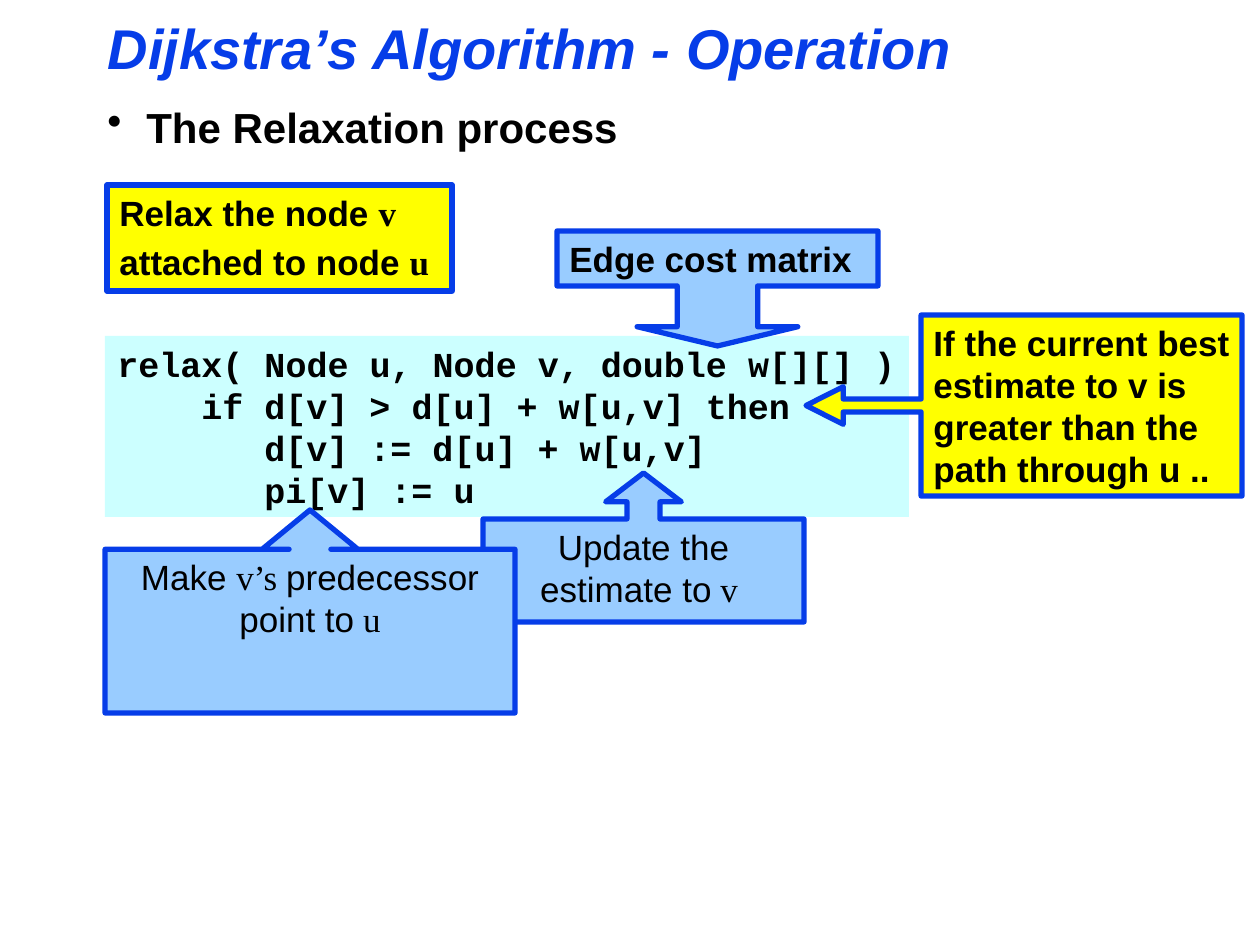
from dataclasses import dataclass

from lxml import etree
from pptx import Presentation
from pptx import util as u
from pptx.dml.color import RGBColor
from pptx.enum import shapes, text
from pptx.oxml import ns

BLUE = RGBColor(0x06, 0x3D, 0xE8)
BLACK = RGBColor(0, 0, 0)
YELLOW = RGBColor(0xFF, 0xFF, 0)
CYAN = RGBColor(0xCC, 0xFF, 0xFF)
SKY = RGBColor(0x99, 0xCC, 0xFF)
SANS, SERIF, MONO = "Arial", "Times New Roman", "Courier New"
PX_PER_INCH = 126
CODE_CHAR = 21


def px(length):
    return u.Emu(round(length * 914400 / PX_PER_INCH))


@dataclass
class RelaxationSlide:
    """Holds the text style and the current page, and adds elements to it."""

    page: object
    size: int = 20
    line_width: int = 3

    def fill_text(self, frame, lines, wrap=True, align=text.PP_ALIGN.LEFT, gap=0, **style):
        settings = {"word_wrap": wrap, "auto_size": text.MSO_AUTO_SIZE.NONE}
        for name, value in settings.items():
            setattr(frame, name, value)
        for index, spans in enumerate(lines):
            para = frame.add_paragraph() if index else frame.paragraphs[0]
            layout = {"alignment": align, "space_before": u.Pt(gap if index else 0)}
            for name, value in layout.items():
                setattr(para, name, value)
            for words, font in spans:
                self.span(para, words, font, **style)

    def span(self, para, words, font, size=None, color=BLACK, bold=True, italic=False):
        span = para.add_run()
        span.text = words
        values = {"name": font, "size": u.Pt(size or self.size), "bold": bold, "italic": italic}
        for name, value in values.items():
            setattr(span.font, name, value)
        span.font.color.rgb = color

    def indent(self, para, left, first=0):
        properties = para._p.get_or_add_pPr()
        for name, value in {"marL": left, "indent": first}.items():
            properties.set(name, str(px(value)))
        return properties

    def title(self, words, place):
        box = self.page.shapes.title
        for name, value in zip(("left", "top", "width", "height"), place):
            setattr(box, name, px(value))
        box.text_frame.vertical_anchor = text.MSO_ANCHOR.MIDDLE
        self.fill_text(box.text_frame, [[(words, SANS)]], size=32, color=BLUE, italic=True)

    def bullet(self, words, place):
        box = self.page.shapes.add_textbox(*map(px, place))
        self.fill_text(box.text_frame, [[(words, SANS)]], size=24)
        para = box.text_frame.paragraphs[0]
        para.space_before = u.Pt(6)
        properties = self.indent(para, 39, -39)
        color = etree.SubElement(properties, ns.qn("a:buClr"))
        etree.SubElement(color, ns.qn("a:srgbClr"), val=str(BLACK))
        etree.SubElement(properties, ns.qn("a:buChar"), char="•")

    def panel(self, kind, place, fill, lines, line=BLUE, adjust=(), **style):
        box = self.page.shapes.add_shape(kind, *map(px, place))
        box.shadow.inherit = False
        box.fill.solid()
        box.fill.fore_color.rgb = fill
        if line is None:
            box.line.fill.background()
        else:
            box.line.color.rgb = line
            box.line.width = u.Pt(self.line_width)
        for index, value in enumerate(adjust):
            box.adjustments[index] = value
        box.text_frame.vertical_anchor = text.MSO_ANCHOR.TOP
        self.fill_text(box.text_frame, lines, **style)
        return box

    def code(self, place, fill, lines):
        rows = [[(words, MONO)] for _, words in lines]
        box = self.panel(shapes.MSO_SHAPE.RECTANGLE, place, fill, rows, line=None, wrap=False)
        for para, (columns, _) in zip(box.text_frame.paragraphs, lines):
            self.indent(para, columns * CODE_CHAR)


def main():
    deck = Presentation()
    deck.slide_width, deck.slide_height = px(1260), px(945)
    slide = RelaxationSlide(deck.slides.add_slide(deck.slide_layouts[5]))
    kinds = shapes.MSO_SHAPE

    slide.title("Dijkstra’s Algorithm - Operation", (95, 0, 1071, 95))
    slide.bullet("The Relaxation process", (95, 95, 1081, 756))
    slide.panel(
        kinds.RECTANGLE, (107, 185, 345, 106), YELLOW,
        [[("Relax the node ", SANS), ("v", SERIF)],
         [("attached to node ", SANS), ("u", SERIF)]],
        gap=4,
    )
    slide.code((105, 336, 804, 181), CYAN, [
        (0, "relax( Node u, Node v, double w[][] )"),
        (4, "if d[v] > d[u] + w[u,v] then"),
        (7, "d[v] := d[u] + w[u,v]"),
        (7, "pi[v] := u"),
    ])
    condition = ("If the current best", "estimate to v is", "greater than the", "path through u ..")
    slide.panel(
        kinds.LEFT_ARROW_CALLOUT, (806, 315, 436, 181), YELLOW,
        [[(words, SANS)] for words in condition],
        adjust=(0.071, 0.104, 0.206, 0.736), wrap=False,
    )
    slide.panel(
        kinds.DOWN_ARROW_CALLOUT, (557, 231, 321, 115), SKY,
        [[("Edge cost matrix", SANS)]], adjust=(0.699, 0.699, 0.167, 0.478),
    )
    centred = {"align": text.PP_ALIGN.CENTER, "bold": False}
    slide.panel(
        kinds.UP_ARROW_CALLOUT, (483, 473, 321, 149), SKY,
        [[("Update the estimate to", SANS), (" v ", SERIF)]],
        adjust=(0.222, 0.254, 0.194, 0.691), **centred,
    )
    slide.panel(
        kinds.UP_ARROW_CALLOUT, (105, 510, 410, 203), SKY,
        [[("Make ", SANS), ("v’s ", SERIF), ("predecessor", SANS)],
         [("point to", SANS), (" u", SERIF)]],
        adjust=(0.206, 0.236, 0.194, 1.045), **centred,
    )
    deck.save("out.pptx")


if __name__ == "__main__":
    main()
